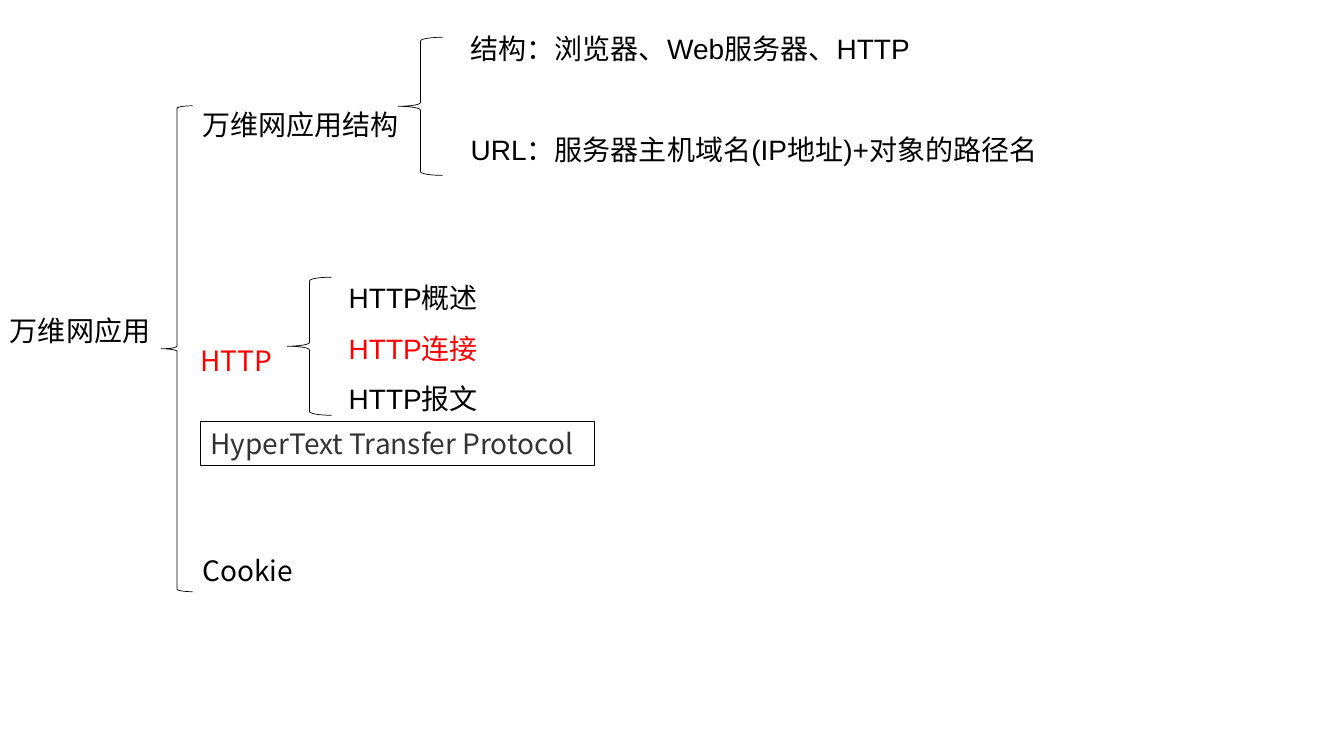
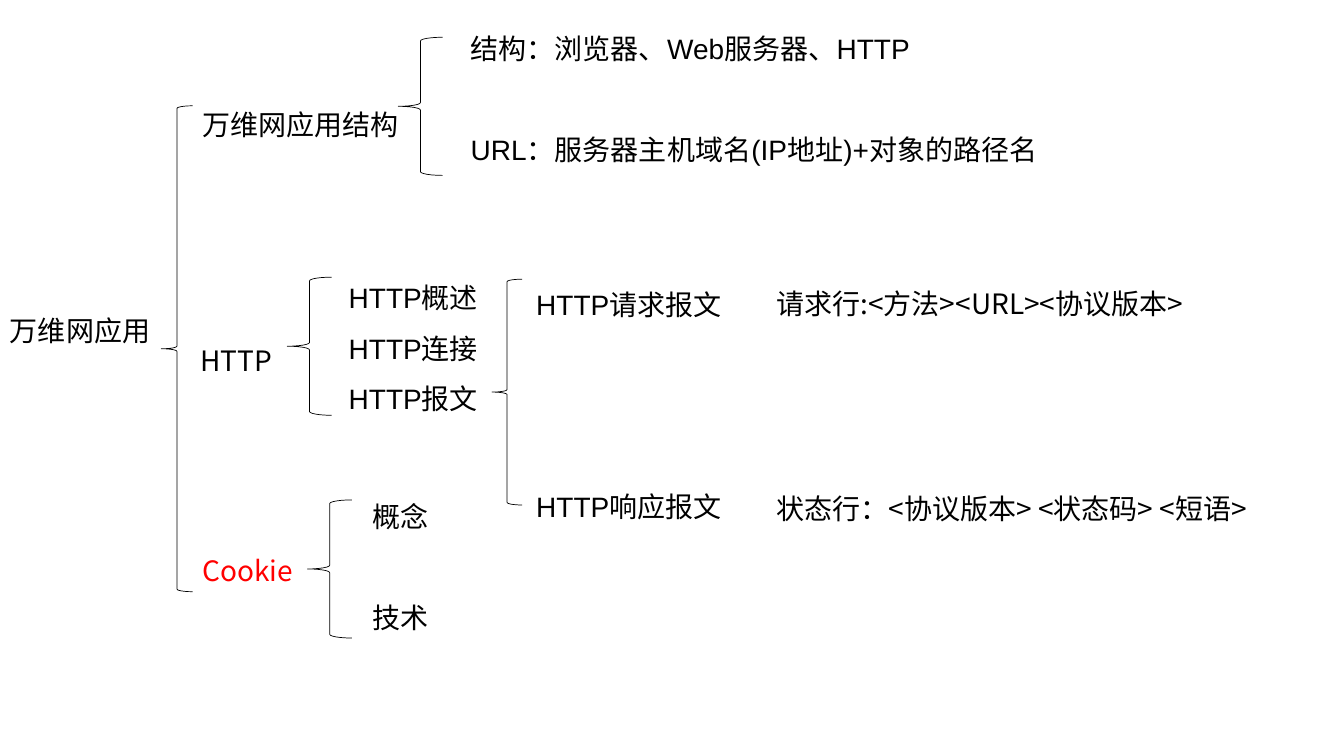
from pptx import Presentation
from pptx.dml.color import RGBColor
from pptx.enum.shapes import MSO_SHAPE
from pptx.enum.text import MSO_ANCHOR, MSO_AUTO_SIZE, PP_ALIGN
from pptx.oxml.ns import qn
from pptx.util import Pt
from lxml import etree

PX = 9144  # 100 px to the inch
LATIN, CHINESE = "Arial", "Noto Sans CJK SC"
BLACK, RED, GREY = "000000", "FF0000", "333333"
TEXT_SIZE = 20
LINE_PITCH = 36  # points taken by one line at 1.5 spacing

# Each label: left, top, width, height, lines, font, skipped lines between, wrap
SHARED_LABELS = [
    (0, 289, 161, 55, ["万维网应用"], CHINESE, 0, True),
    (191, 85, 240, 55, ["万维网应用结构"], CHINESE, 0, True),
    (191, 528, 145, 55, ["Cookie"], CHINESE, 0, True),
    (189, 319, 113, 55, ["HTTP"], CHINESE, 0, True),
    (457, 10, 760, 156,
     ["结构：浏览器、Web服务器、HTTP", "URL：服务器主机域名(IP地址)+对象的路径名"],
     LATIN, 1, True),
    (336, 257, 164, 162, ["HTTP概述", "HTTP连接", "HTTP报文"], LATIN, 0, True),
]
MESSAGE_LABELS = [
    (522, 264, 266, 263, ["HTTP请求报文", "HTTP响应报文"], LATIN, 3, True),
    (760, 263, 458, 55, ["请求行:<方法><URL><协议版本>"], CHINESE, 0, False),
    (760, 466, 535, 55, ["状态行：<协议版本> <状态码> <短语>"], CHINESE, 0, False),
    (360, 474, 140, 162, ["概念", "技术"], LATIN, 1, True),
]

# Each brace: left, top, width, height
SHARED_BRACES = [(160, 105, 31, 482), (395, 37, 44, 137), (285, 275, 44, 137)]
MESSAGE_BRACES = [(488, 277, 30, 224), (305, 496, 44, 137)]

PAGES = [
    dict(labels=SHARED_LABELS, braces=SHARED_BRACES,
         highlights={"HTTP", "HTTP连接"},
         note=(199, 418, 391, 44, "HyperText Transfer Protocol")),
    dict(labels=SHARED_LABELS + MESSAGE_LABELS,
         braces=SHARED_BRACES + MESSAGE_BRACES,
         highlights={"Cookie"}, note=None),
]


def colour(value):
    return RGBColor.from_string(value)


def emu(*lengths):
    return [length * PX for length in lengths]


def write(frame, lines, font=CHINESE, ink=BLACK, highlights=(), skipped=0,
          spacing=1.5, wrap=True):
    """Fill a text frame, one paragraph a line, with highlighted lines in red."""
    frame.word_wrap = wrap
    frame.auto_size = MSO_AUTO_SIZE.SHAPE_TO_FIT_TEXT
    for index, line in enumerate(lines):
        para = frame.add_paragraph() if index else frame.paragraphs[0]
        para.alignment = PP_ALIGN.LEFT
        para.line_spacing = spacing
        if index and skipped:
            para.space_before = Pt(skipped * LINE_PITCH)
        span = para.add_run()
        span.text = line
        span.font.size = Pt(TEXT_SIZE)
        span.font.name = font
        span.font.color.rgb = colour(RED if line in highlights else ink)
        east_asian = etree.SubElement(span.font._element, qn("a:ea"))
        east_asian.set("typeface", CHINESE)


def add_outline(page, kind, area, weight):
    shape = page.shapes.add_shape(kind, *emu(*area))
    shape.shadow.inherit = False
    shape.fill.background()
    shape.line.color.rgb = colour(BLACK)
    shape.line.width = Pt(weight)
    return shape


def build_page(deck, labels, braces, highlights, note):
    page = deck.slides.add_slide(deck.slide_layouts[6])
    # Braces of the tree
    for area in braces:
        add_outline(page, MSO_SHAPE.LEFT_BRACE, area, 0.5)
    # Labels of the tree
    for *area, lines, font, skipped, wrap in labels:
        box = page.shapes.add_textbox(*emu(*area))
        write(box.text_frame, lines, font=font, highlights=highlights,
              skipped=skipped, wrap=wrap)
    # Framed full name
    if note:
        *area, text = note
        frame = add_outline(page, MSO_SHAPE.RECTANGLE, area, 0.75).text_frame
        frame.vertical_anchor = MSO_ANCHOR.TOP
        write(frame, [text], ink=GREY, spacing=1.0, wrap=False)


def main():
    deck = Presentation()
    deck.slide_width, deck.slide_height = emu(1333, 750)
    for content in PAGES:
        build_page(deck, **content)
    deck.save("out.pptx")


if __name__ == "__main__":
    main()
